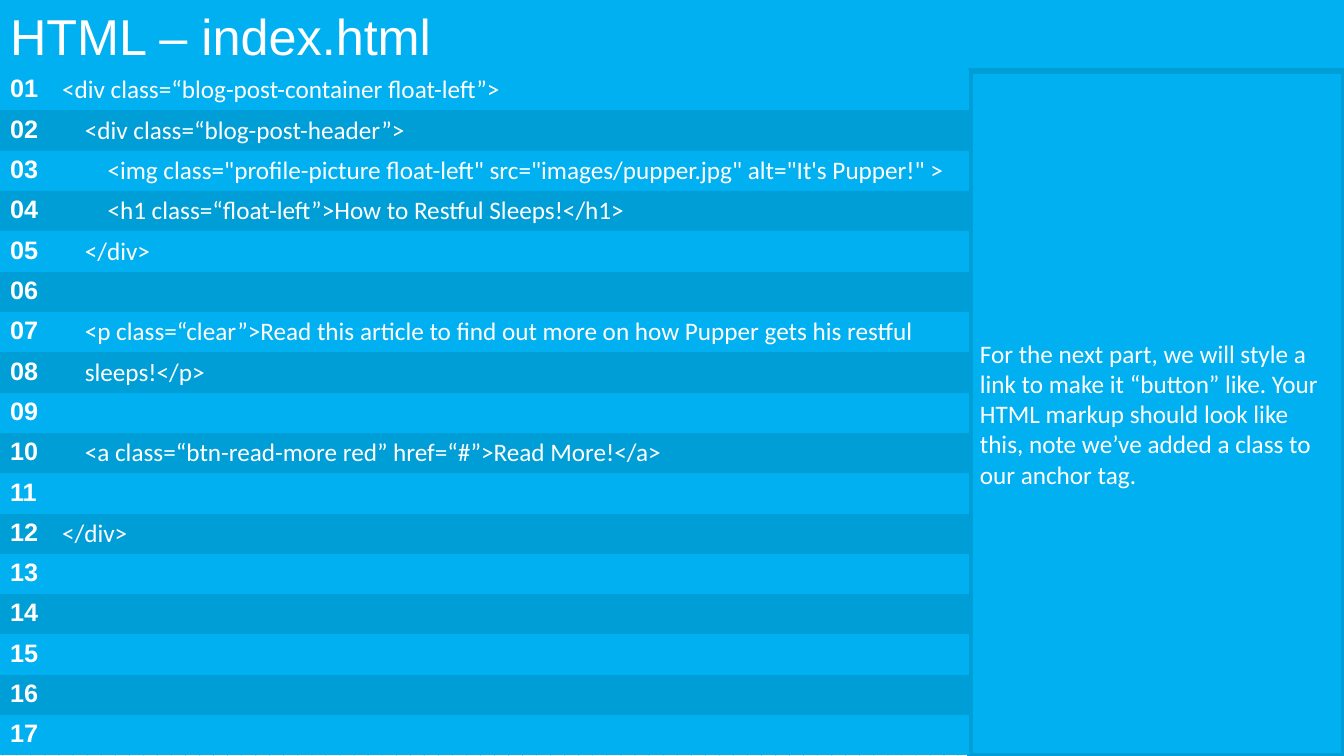
from dataclasses import dataclass

from pptx import Presentation
from pptx.dml.color import RGBColor
from pptx.enum.dml import MSO_PATTERN
from pptx.enum.shapes import MSO_SHAPE
from pptx.enum.text import MSO_ANCHOR as Anchor, MSO_AUTO_SIZE as AutoSize, PP_ALIGN as Align
from pptx.oxml.ns import qn
from pptx.util import Pt

EMU_PER_PX = 914400 / 100.8
PLAIN_TABLE_STYLE = "{2D5ABB26-0587-4C30-8999-92F81FD0307C}"


@dataclass(frozen=True)
class Theme:
    sky: RGBColor = RGBColor(0x00, 0xB0, 0xF0)
    stripe: RGBColor = RGBColor(0x00, 0x9E, 0xD6)
    text: RGBColor = RGBColor(0xFF, 0xFF, 0xFF)
    dots: RGBColor = RGBColor(0x5B, 0x9B, 0xD5)
    heading_font: str = "Arial"
    body_font: str = "Calibri"
    title_size: Pt = Pt(36)
    body_size: Pt = Pt(18)
    border_width: Pt = Pt(4.5)


THEME = Theme()
LINE_COUNT = 17
CODE = {
    1: "<div class=“blog-post-container float-left”>",
    2: "    <div class=“blog-post-header”>",
    3: "        <img class=\"profile-picture float-left\" src=\"images/pupper.jpg\" alt=\"It's Pupper!\" >",
    4: "        <h1 class=“float-left”>How to Restful Sleeps!</h1>",
    5: "    </div>",
    7: "    <p class=“clear”>Read this article to find out more on how Pupper gets his restful",
    8: "    sleeps!</p>",
    10: "    <a class=“btn-read-more red” href=“#”>Read More!</a>",
    12: "</div>",
}
NOTE = (
    "For the next part, we will style a link to make it “button” like. "
    "Your HTML markup should look like this, note we’ve added a class to our anchor tag."
)


def px(length):
    return round(length * EMU_PER_PX)


def fill_solid(target, color):
    target.fill.solid()
    target.fill.fore_color.rgb = color


def write(frame, text, font_name, size, bold=False):
    frame.text = text
    para = frame.paragraphs[0]
    para.alignment = Align.LEFT
    for span in para.runs:
        span.font.name = font_name
        span.font.size = size
        span.font.bold = bold
        span.font.color.rgb = THEME.text


def set_background(page):
    fill = page.background.fill
    fill.patterned()
    fill.pattern = MSO_PATTERN.PERCENT_5
    fill.fore_color.rgb = THEME.dots
    fill.back_color.rgb = THEME.text


def set_title(page, text, left, top, width, height):
    title = page.shapes.title
    title.left, title.top, title.width, title.height = map(px, (left, top, width, height))
    fill_solid(title, THEME.sky)
    frame = title.text_frame
    frame.auto_size = AutoSize.NONE
    frame.vertical_anchor = Anchor.TOP
    write(frame, text, THEME.heading_font, THEME.title_size)


def add_note(page, text, left, top, width, height):
    box = page.shapes.add_shape(MSO_SHAPE.RECTANGLE, *map(px, (left, top, width, height)))
    box.shadow.inherit = False
    fill_solid(box, THEME.sky)
    box.line.color.rgb = THEME.stripe
    box.line.width = THEME.border_width
    frame = box.text_frame
    frame.word_wrap = True
    frame.vertical_anchor = Anchor.MIDDLE
    write(frame, text, THEME.body_font, THEME.body_size)


def add_code_table(page, left, top, number_width, code_width, height):
    """Number every line and stripe the rows, leaving lines absent from CODE empty."""
    frame = page.shapes.add_table(
        LINE_COUNT, 2, *map(px, (left, top, number_width + code_width, height))
    )
    table = frame.table
    table.first_row = table.horz_banding = False
    table._tbl.tblPr.find(qn("a:tableStyleId")).text = PLAIN_TABLE_STYLE
    table.columns[0].width = px(number_width)
    table.columns[1].width = px(code_width)
    for number, row in enumerate(table.rows, start=1):
        number_cell, code_cell = row.cells
        for cell in row.cells:
            fill_solid(cell, THEME.sky if number % 2 else THEME.stripe)
            cell.margin_top, cell.margin_bottom = px(5), px(3)
        write(number_cell.text_frame, f"{number:02}", THEME.heading_font, THEME.body_size, True)
        if number in CODE:
            write(code_cell.text_frame, CODE[number], THEME.body_font, THEME.body_size)


def main():
    deck = Presentation()
    deck.slide_width, deck.slide_height = px(1344), px(756)
    page = deck.slides.add_slide(deck.slide_layouts.get_by_name("Title Only"))
    set_background(page)
    set_title(page, "HTML – index.html", 0, 0, 1344, 72)
    add_note(page, NOTE, 970, 71, 374, 685)
    add_code_table(page, 0, 70, 52, 917, 686)
    deck.save("out.pptx")


if __name__ == "__main__":
    main()
